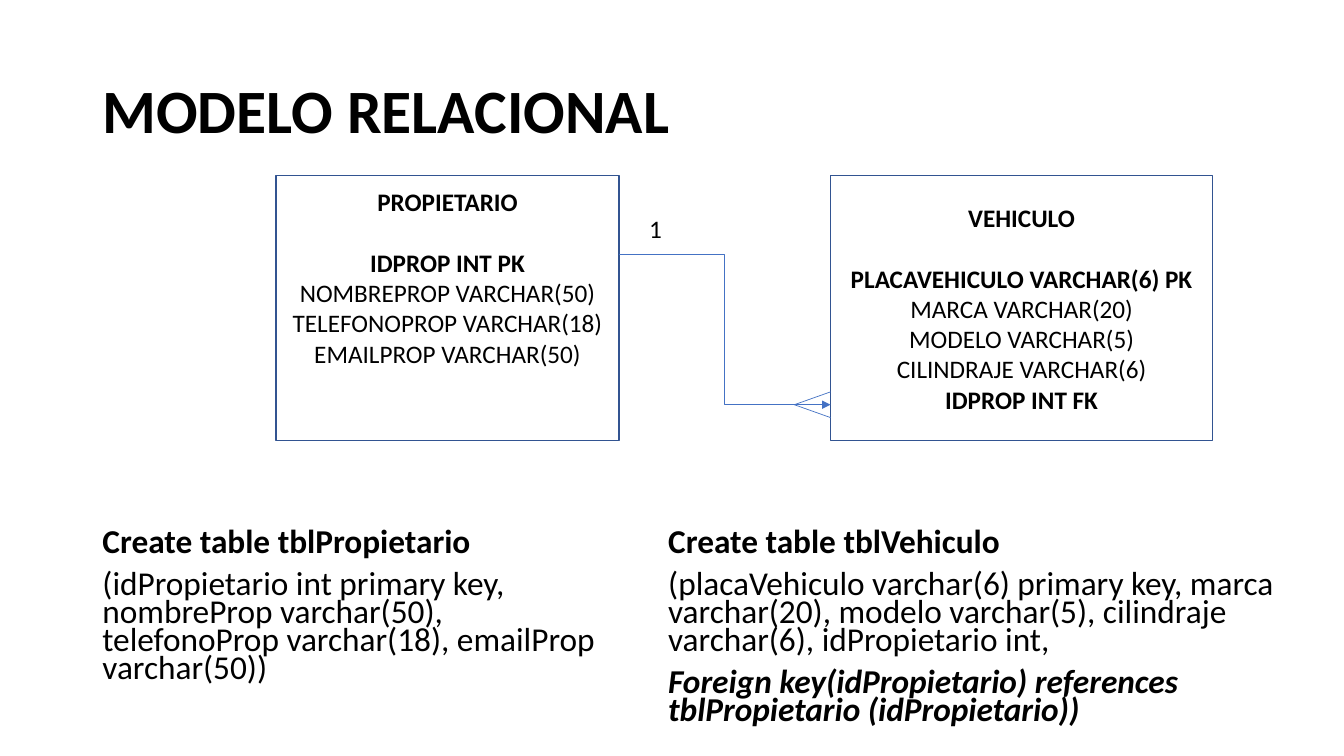
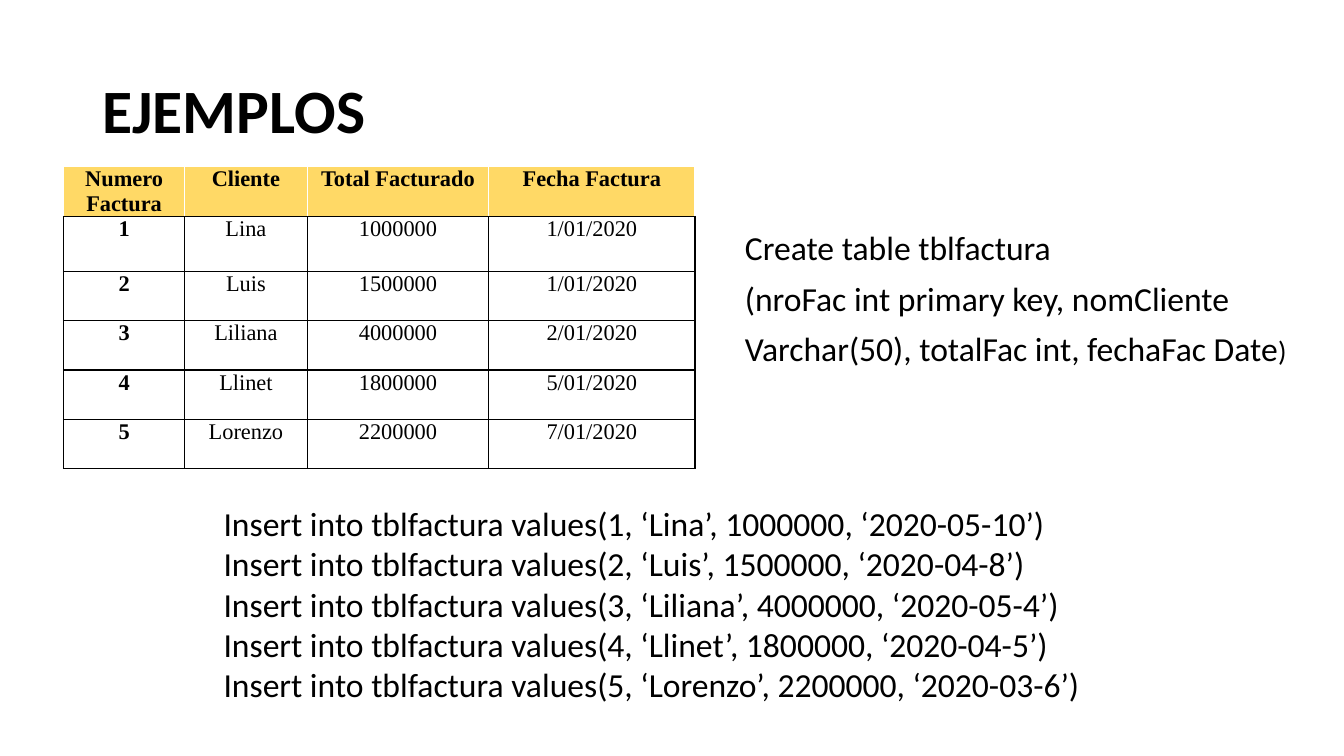
from lxml import etree
from pptx import Presentation
from pptx.dml.color import RGBColor
from pptx.enum.shapes import MSO_CONNECTOR, MSO_SHAPE
from pptx.enum.text import MSO_ANCHOR, MSO_AUTO_SIZE, PP_ALIGN
from pptx.oxml.ns import qn
from pptx.util import Pt

BLACK = RGBColor(0x00, 0x00, 0x00)
WHITE = RGBColor(0xFF, 0xFF, 0xFF)
GOLD = RGBColor(0xFF, 0xD9, 0x66)
NAVY = RGBColor(0x32, 0x54, 0x91)
BLUE = RGBColor(0x44, 0x72, 0xC4)
LEFT, CENTER = PP_ALIGN.LEFT, PP_ALIGN.CENTER
TOP, MIDDLE = MSO_ANCHOR.TOP, MSO_ANCHOR.MIDDLE
NO_FIT = MSO_AUTO_SIZE.NONE
RECTANGLE = MSO_SHAPE.RECTANGLE
STRAIGHT, ELBOW = MSO_CONNECTOR.STRAIGHT, MSO_CONNECTOR.ELBOW
SANS, SERIF = "Calibri", "Times New Roman"
BOLD = {"bold": True}
BOLD_ITALIC = {"bold": True, "italic": True}

INVOICE_HEADINGS = ("Numero Factura", "Cliente", "Total Facturado", "Fecha Factura")
INVOICES = (
    (1, "Lina", 1000000, "1/01/2020", "2020-05-10"),
    (2, "Luis", 1500000, "1/01/2020", "2020-04-8"),
    (3, "Liliana", 4000000, "2/01/2020", "2020-05-4"),
    (4, "Llinet", 1800000, "5/01/2020", "2020-04-5"),
    (5, "Lorenzo", 2200000, "7/01/2020", "2020-03-6"),
)


def add_span(para, text, size=24, bold=False, italic=False, font=SANS, color=BLACK):
    """Add a formatted run of text to a paragraph."""
    span = para.add_run()
    span.text = text
    span.font.size = Pt(size)
    span.font.bold = bold
    span.font.italic = italic
    span.font.name = font
    span.font.color.rgb = color


def fill_frame(frame, lines, align=LEFT, anchor=TOP, spacing=1, before=0, **style):
    """Write one paragraph for each (text, format) pair."""
    frame.word_wrap = True
    frame.auto_size = NO_FIT
    frame.vertical_anchor = anchor
    for index, (text, extra) in enumerate(lines):
        para = frame.add_paragraph() if index else frame.paragraphs[0]
        para.alignment = align
        para.line_spacing = spacing
        para.space_before = Pt(before)
        para.space_after = Pt(0)
        properties = para._p.get_or_add_pPr()
        properties.set("marL", "0")
        properties.set("indent", "0")
        etree.SubElement(properties, qn("a:buNone"))
        add_span(para, text, **{**style, **extra})


def set_border(cell, side, color):
    """Draw a one-point border on one side of a table cell."""
    border = etree.SubElement(
        cell._tc.get_or_add_tcPr(), qn(f"a:ln{side}"), w=str(int(Pt(1)))
    )
    fill = etree.SubElement(border, qn("a:solidFill"))
    etree.SubElement(fill, qn("a:srgbClr"), val=str(color))


class SlideBuilder:
    """Holds the deck, its shared style and the current slide."""

    def __init__(self):
        """Start a widescreen deck."""
        self.deck = Presentation()
        self.deck.slide_width, self.deck.slide_height = Pt(960), Pt(540)
        self.page = None

    def start(self, title):
        """Add a page with its title."""
        self.page = self.deck.slides.add_slide(self.deck.slide_layouts[1])
        box = self.place(self.page.shapes.title, 66, 28.8, 828, 104.4)
        fill_frame(box.text_frame, [(title, BOLD)], anchor=MIDDLE, spacing=0.9, size=44)

    def place(self, box, left, top, width, height):
        """Move and size a placeholder."""
        box.left, box.top, box.width, box.height = map(Pt, (left, top, width, height))
        return box

    def body(self, left, top, width, height, lines, inset=3.6, **style):
        """Fill the body placeholder and return its text frame."""
        box = self.place(self.page.placeholders[1], left, top, width, height)
        box.text_frame.margin_top = Pt(inset)
        fill_frame(box.text_frame, lines, **style)
        return box.text_frame

    def text(self, left, top, width, height, lines, inset=3.6, **style):
        """Add a text box."""
        box = self.page.shapes.add_textbox(*map(Pt, (left, top, width, height)))
        box.text_frame.margin_top = Pt(inset)
        fill_frame(box.text_frame, lines, **style)

    def box(self, left, top, width, height, lines, outline=None):
        """Add a white rectangle with centred text and return its text frame."""
        box = self.page.shapes.add_shape(
            RECTANGLE, *map(Pt, (left, top, width, height))
        )
        box.shadow.inherit = False
        box.fill.solid()
        box.fill.fore_color.rgb = WHITE
        if outline is None:
            box.line.fill.background()
        else:
            box.line.color.rgb = outline
            box.line.width = Pt(1)
        fill_frame(box.text_frame, lines, align=CENTER, anchor=MIDDLE, size=18)
        return box.text_frame

    def entity(self, left, width, name, fields, blank_below=0):
        """Add a database entity, with its name set apart from its fields."""
        frame = self.box(left, 125.3, width, 189.4, [(name, BOLD), *fields], NAVY)
        frame.paragraphs[0].space_after = Pt(22)
        frame.margin_bottom = Pt(3.6 + blank_below)

    def line(self, start, end, kind=STRAIGHT, arrow=False):
        """Add a thin connector, optionally with an arrowhead."""
        line = self.page.shapes.add_connector(kind, *map(Pt, (*start, *end)))
        line.line.color.rgb = BLUE
        line.line.width = Pt(0.5)
        if arrow:
            etree.SubElement(line.line._get_or_add_ln(), qn("a:tailEnd"), type="triangle")
        etree.SubElement(line._element.spPr, qn("a:effectLst"))

    def table(self, left, top, widths, heights, rows):
        """Add a table with a gold heading row and a bold first column."""
        table = self.page.shapes.add_table(
            len(rows), len(widths),
            *map(Pt, (left, top, sum(widths), sum(heights))),
        ).table
        table.horz_banding = table.first_row = False
        for column, width in zip(table.columns, widths):
            column.width = Pt(width)
        for row_index, (row, height) in enumerate(zip(rows, heights)):
            table.rows[row_index].height = Pt(height)
            heading = row_index == 0
            for column_index, value in enumerate(row):
                cell = table.cell(row_index, column_index)
                cell.margin_left = cell.margin_right = Pt(5)
                cell.margin_top = cell.margin_bottom = Pt(0)
                for side in "LRTB":
                    white = heading and side != "B"
                    set_border(cell, side, WHITE if white else BLACK)
                cell.fill.solid()
                cell.fill.fore_color.rgb = GOLD if heading else WHITE
                para = cell.text_frame.paragraphs[0]
                para.alignment = CENTER
                bold = heading or column_index == 0
                add_span(para, str(value), size=16, bold=bold, font=SERIF)


def build_model(builder):
    """Build the relational model page."""
    builder.start("MODELO RELACIONAL")
    statement = {"spacing": 0.7, "before": 10, "size": 23.8, "inset": 42.6}
    builder.body(66, 337, 378, 149.8, [
        ("Create table tblPropietario", BOLD),
        ("(idPropietario int primary key, nombreProp varchar(50), "
         "telefonoProp varchar(18), emailProp varchar(50))", {}),
    ], **statement)
    builder.entity(593.3, 272.9, "VEHICULO", [
        ("PLACAVEHICULO VARCHAR(6) PK", BOLD),
        ("MARCA VARCHAR(20)", {}),
        ("MODELO VARCHAR(5)", {}),
        ("CILINDRAJE VARCHAR(6)", {}),
        ("IDPROP INT FK", BOLD),
    ])
    builder.entity(197.3, 244.8, "PROPIETARIO", [
        ("IDPROP INT PK", BOLD),
        ("NOMBREPROP VARCHAR(50)", {}),
        ("TELEFONOPROP VARCHAR(18)", {}),
        ("EMAILPROP VARCHAR(50)", {}),
    ], blank_below=44)
    builder.line((442.1, 181.6), (593.3, 289.1), ELBOW, arrow=True)
    for offset in (-9.2, 9.2):
        builder.line((567.4, 289.1), (593.3, 289.1 + offset))
    builder.box(444.2, 144.7, 48.2, 36.7, [("1", {})])
    builder.text(470.2, 337, 452.9, 189.4, [
        ("Create table tblVehiculo", BOLD),
        ("(placaVehiculo varchar(6) primary key, marca varchar(20), "
         "modelo varchar(5), cilindraje varchar(6), idPropietario int,", {}),
        ("Foreign key(idPropietario) references "
         "tblPropietario (idPropietario))", BOLD_ITALIC),
    ], **statement)


def build_examples(builder):
    """Build the invoice examples page."""
    builder.start("EJEMPLOS")
    rows = [INVOICE_HEADINGS, *(invoice[:4] for invoice in INVOICES)]
    heights = [35.2, 39.4] + [35.2] * 4
    builder.table(45.4, 119, [86.5, 87.6, 129.6, 147.4], heights, rows)
    frame = builder.body(524.9, 162, 420.5, 108, [
        ("Create table tblfactura", {}),
        ("(nroFac int primary key, nomCliente", {}),
        ("Varchar(50), totalFac int, fechaFac Date", {}),
    ], spacing=0.9, before=10)
    add_span(frame.paragraphs[-1], ")", size=20)
    builder.text(152.6, 355.7, 676.1, 174.2, [
        (f"Insert into tblfactura values({number}, ‘{client}’, {total}, ‘{date}’)", {})
        for number, client, total, _, date in INVOICES
    ])


def main():
    """Build and save the deck."""
    builder = SlideBuilder()
    build_model(builder)
    build_examples(builder)
    builder.deck.save("out.pptx")


if __name__ == "__main__":
    main()
